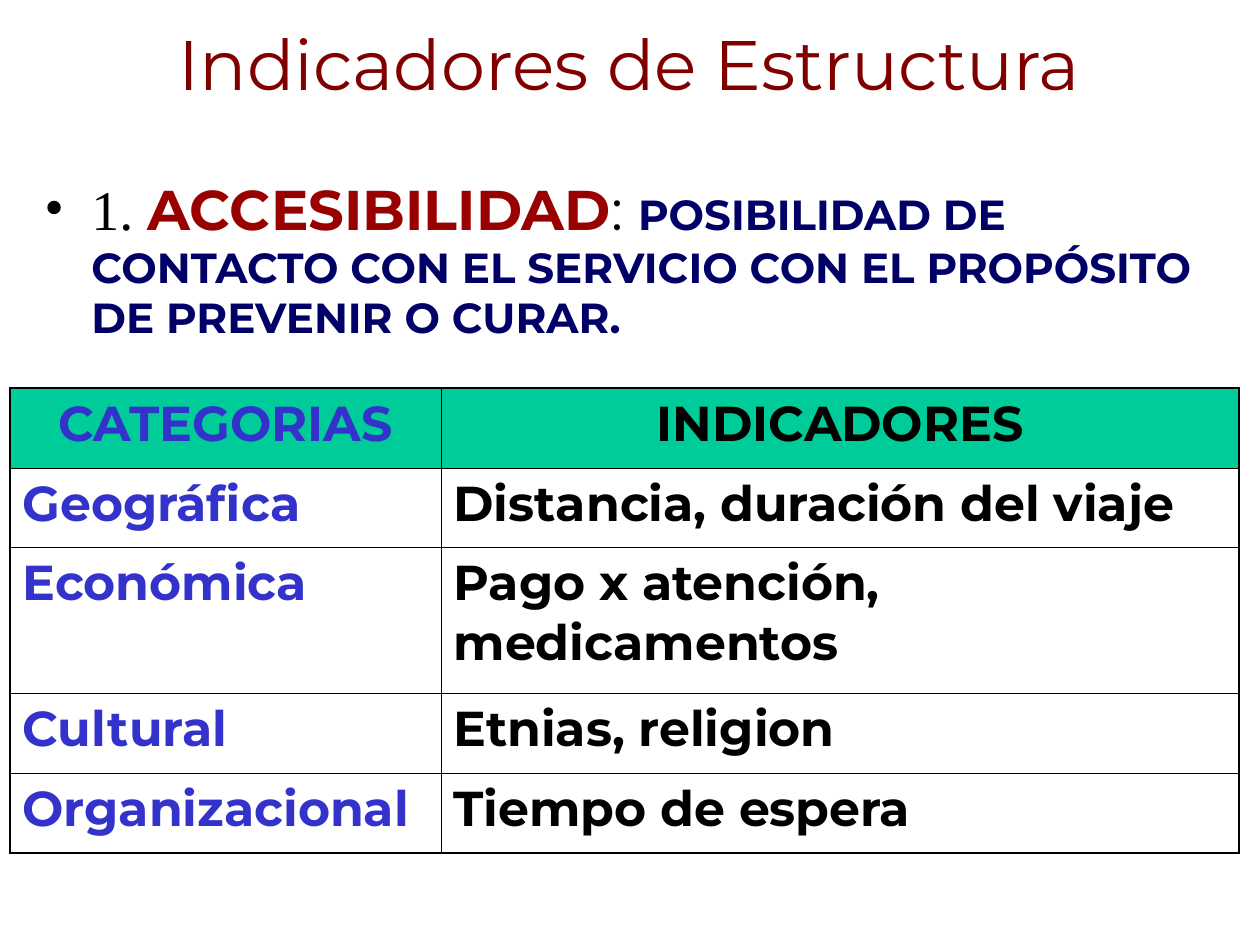
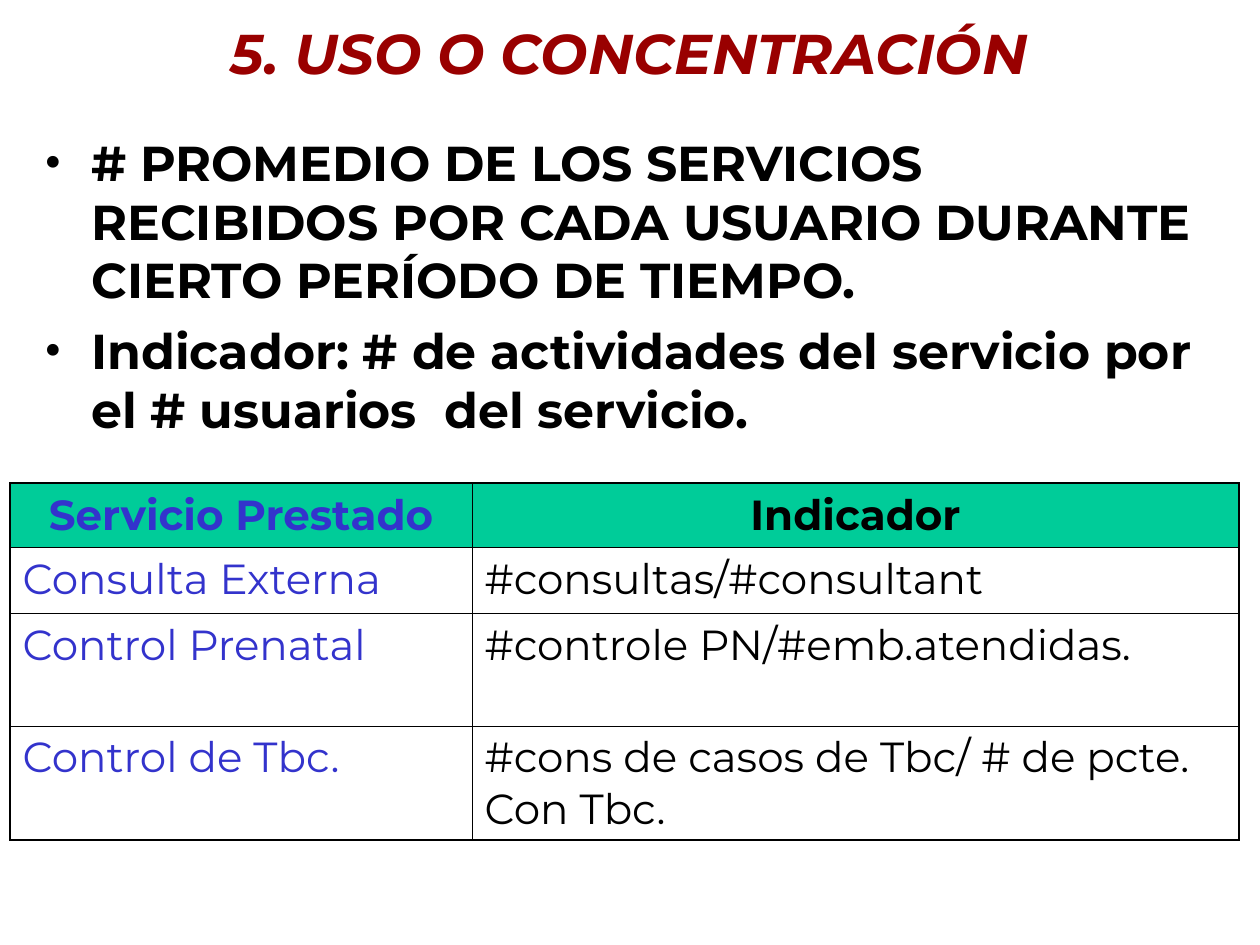
from lxml.etree import SubElement
from pptx import Presentation
from pptx.dml.color import RGBColor
from pptx.enum.text import MSO_ANCHOR, PP_ALIGN
from pptx.oxml import parse_xml
from pptx.oxml.ns import nsdecls, qn
from pptx.util import Pt

COLORS = {
    "maroon": "800000", "red": "990000", "navy": "000066", "blue": "3333CC",
    "green": "00CC99", "black": "000000",
}
SANS, SERIF = "Montserrat", "Times New Roman"

SLIDES = [
    {
        "title": ("Indicadores de Estructura", 105, (SANS, 40, "maroon", False, False)),
        "definition": {
            "top": 168, "height": 746, "gap": 6,
            "points": [[
                ("1. ", (SERIF, 32, "black", False)),
                ("ACCESIBILIDAD", (SANS, 32, "red", True)),
                (": ", (SANS, 32, "black", False)),
                ("POSIBILIDAD DE CONTACTO CON EL SERVICIO CON EL PROPÓSITO "
                 "DE PREVENIR O CURAR.", (SANS, 24, "navy", True)),
            ]],
        },
        "indicators": {
            "top": 388, "columns": (431, 798), "heights": (80, 79, 146, 80, 80),
            "size": 28, "bold_rows": True,
            "rows": [
                ("CATEGORIAS", "INDICADORES"),
                ("Geográfica", "Distancia, duración del viaje"),
                ("Económica", "Pago x atención, medicamentos"),
                ("Cultural", "Etnias, religion"),
                ("Organizacional", "Tiempo de espera"),
            ],
        },
    },
    {
        "title": ("5. USO O CONCENTRACIÓN", 84, (SANS, 32, "red", True, True)),
        "definition": {
            "top": 126, "height": 336, "gap": 7,
            "points": [
                [("# PROMEDIO DE LOS SERVICIOS RECIBIDOS POR CADA USUARIO "
                  "DURANTE CIERTO PERÍODO DE TIEMPO.", (SANS, 28, "black", True))],
                [("Indicador: # de actividades del servicio por el # usuarios  "
                  "del servicio.", (SANS, 28, "black", True))],
            ],
        },
        "indicators": {
            "top": 483, "columns": (462, 767), "heights": (64, 66, 113, 114),
            "size": 24, "bold_rows": False,
            "rows": [
                ("Servicio Prestado", "Indicador"),
                ("Consulta Externa", "#consultas/#consultant"),
                ("Control Prenatal", "#controle PN/#emb.atendidas."),
                ("Control de Tbc.", "#cons de casos de Tbc/ # de pcte. Con Tbc."),
            ],
        },
    },
]

TITLE_LEFT, TITLE_TOP, TITLE_WIDTH = 94, 10, 1071
BODY_LEFT, BODY_WIDTH, BULLET_INDENT = 32, 1187, 47
TABLE_LEFT = 10
OUTER_LINE, INNER_LINE = 1.08, 0.45


def px(length):
    return round(length * 914400 / 126)


def style(font, name, size, color, bold, italic=False):
    font.name, font.size = name, Pt(size)
    font.bold, font.italic = bold, italic
    font.color.rgb = RGBColor.from_string(COLORS[color])


def add_text_frame(slide, *box):
    frame = slide.shapes.add_textbox(*map(px, box)).text_frame
    frame.word_wrap = True
    return frame


def add_title(slide, text, height, look):
    frame = add_text_frame(slide, TITLE_LEFT, TITLE_TOP, TITLE_WIDTH, height)
    frame.vertical_anchor = MSO_ANCHOR.MIDDLE
    heading = frame.paragraphs[0]
    heading.text, heading.alignment = text, PP_ALIGN.CENTER
    style(heading.font, *look)


def add_bullet(paragraph):
    props = paragraph._p.get_or_add_pPr()
    props.set("marL", str(px(BULLET_INDENT)))
    props.set("indent", str(-px(BULLET_INDENT)))
    SubElement(SubElement(props, qn("a:buClr")), qn("a:srgbClr"), val=COLORS["black"])
    SubElement(props, qn("a:buFont"), typeface=SERIF)
    SubElement(props, qn("a:buChar"), char="•")


def add_definition(slide, top, height, gap, points):
    frame = add_text_frame(slide, BODY_LEFT, top, BODY_WIDTH, height)
    for index, pieces in enumerate(points):
        point = frame.add_paragraph() if index else frame.paragraphs[0]
        if index:
            point.space_before = Pt(gap)
        add_bullet(point)
        if len(pieces) == 1:
            point.text = pieces[0][0]
            style(point.font, *pieces[0][1])
            continue
        for text, look in pieces:
            run = point.add_run()
            run.text = text
            style(run.font, *look)


def add_borders(cell, outer_sides):
    props = cell._tc.get_or_add_tcPr()
    for index, side in enumerate("LRTB"):
        width = Pt(OUTER_LINE if outer_sides[side] else INNER_LINE)
        props.insert(index, parse_xml(
            f'<a:ln{side} {nsdecls("a")} w="{width}"><a:solidFill>'
            f'<a:srgbClr val="{COLORS["black"]}"/></a:solidFill></a:ln{side}>'))


def add_indicators(slide, top, columns, heights, size, bold_rows, rows):
    table = slide.shapes.add_table(
        len(rows), len(columns), px(TABLE_LEFT), px(top),
        px(sum(columns)), px(sum(heights))).table
    for column, width in zip(table.columns, columns):
        column.width = px(width)
    for row, height in zip(table.rows, heights):
        row.height = px(height)
    last_row, last_column = len(rows) - 1, len(columns) - 1
    for r, entries in enumerate(rows):
        for c, text in enumerate(entries):
            cell = table.cell(r, c)
            cell.text = text
            entry = cell.text_frame.paragraphs[0]
            if r == 0:
                entry.alignment = PP_ALIGN.CENTER
                cell.fill.solid()
                cell.fill.fore_color.rgb = RGBColor.from_string(COLORS["green"])
            else:
                cell.fill.background()
            style(entry.font, SANS, size, "black" if c else "blue", r == 0 or bold_rows)
            add_borders(cell, {"L": c == 0, "R": c == last_column,
                               "T": r == 0, "B": r == last_row})


def main():
    deck = Presentation()
    deck.slide_width, deck.slide_height = px(1260), px(945)
    for content in SLIDES:
        slide = deck.slides.add_slide(deck.slide_layouts[6])
        add_title(slide, *content["title"])
        add_definition(slide, **content["definition"])
        add_indicators(slide, **content["indicators"])
    deck.save("out.pptx")


if __name__ == "__main__":
    main()
